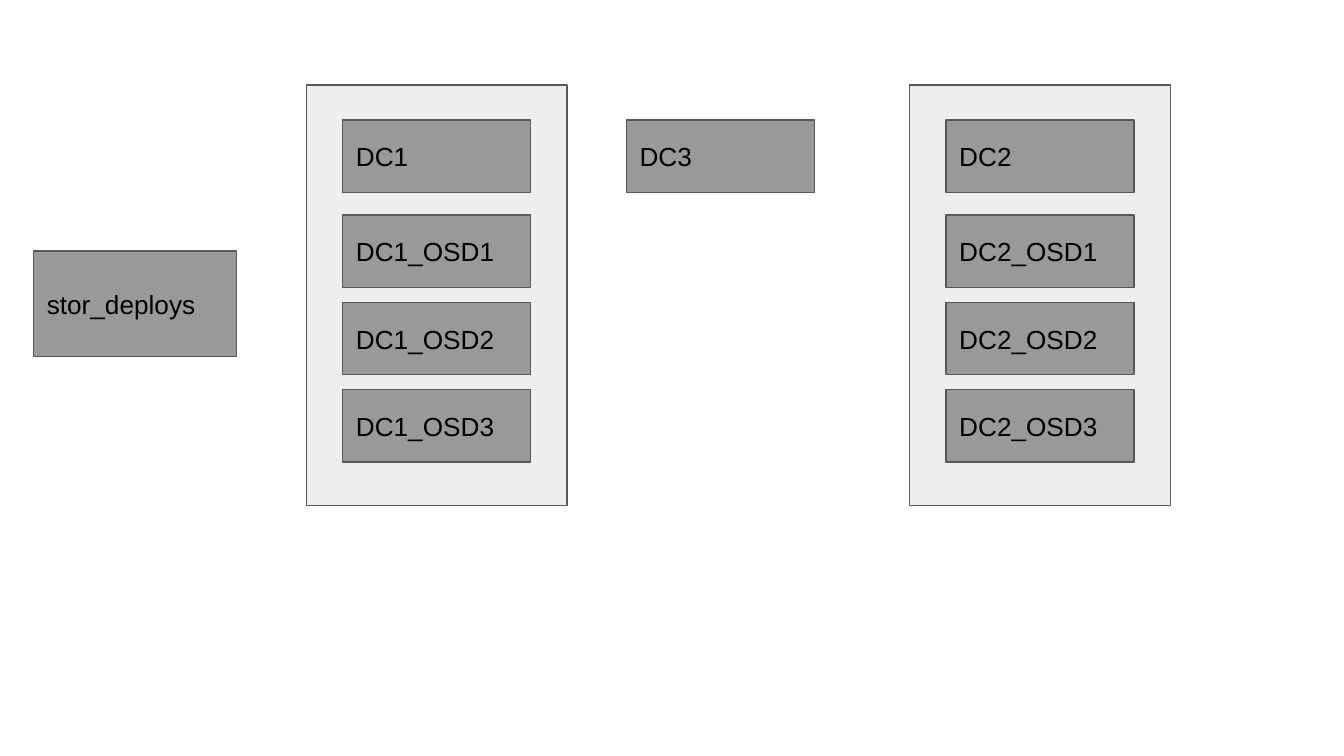
from pptx import Presentation
from pptx.dml.color import RGBColor
from pptx.enum import shapes, text
from pptx.util import Pt


def color(hex_string):
    return RGBColor.from_string(hex_string)


def add_box(left, top, width, height, fill, label=None):
    """Add an outlined rectangle, with a left-aligned label if one is given."""
    shape = slide.shapes.add_shape(
        shapes.MSO_SHAPE.RECTANGLE, Pt(left), Pt(top), Pt(width), Pt(height))
    shape.shadow.inherit = False
    shape.fill.solid()
    shape.fill.fore_color.rgb = color(fill)
    shape.line.color.rgb = color("595959")
    shape.line.width = Pt(0.75)
    if label is None:
        return
    frame = shape.text_frame
    frame.word_wrap = True
    frame.vertical_anchor = text.MSO_ANCHOR.MIDDLE
    frame.margin_left = frame.margin_right = Pt(7.2)
    frame.margin_top = frame.margin_bottom = Pt(7.2)
    paragraph = frame.paragraphs[0]
    paragraph.alignment = text.PP_ALIGN.LEFT
    run = paragraph.add_run()
    run.text = label
    run.font.name = "Arial"
    run.font.size = Pt(14)
    run.font.color.rgb = color("000000")


presentation = Presentation()
presentation.slide_width = Pt(720)
presentation.slide_height = Pt(405)
slide = presentation.slides.add_slide(presentation.slide_layouts[6])

PANEL_FILL, NODE_FILL = "EEEEEE", "999999"
PANEL_TOP, PANEL_WIDTH, PANEL_HEIGHT = 45.6, 139.6, 225.4
NODE_TOP, NODE_WIDTH, NODE_HEIGHT = 64.2, 100.8, 38.8
OSD_TOP, OSD_STEP = 115.2, 46.8

add_box(18, 134.6, 108.6, 56.4, NODE_FILL, "stor_deploys")

for center, panel_left in (("DC1", 164.2), ("DC2", 487.4)):
    add_box(panel_left, PANEL_TOP, PANEL_WIDTH, PANEL_HEIGHT, PANEL_FILL)
    node_left = panel_left + (PANEL_WIDTH - NODE_WIDTH) / 2
    add_box(node_left, NODE_TOP, NODE_WIDTH, NODE_HEIGHT, NODE_FILL, center)
    for index in range(3):
        add_box(node_left, OSD_TOP + index * OSD_STEP, NODE_WIDTH, NODE_HEIGHT,
                NODE_FILL, f"{center}_OSD{index + 1}")

add_box(335.6, NODE_TOP, NODE_WIDTH, NODE_HEIGHT, NODE_FILL, "DC3")

presentation.save("out.pptx")
